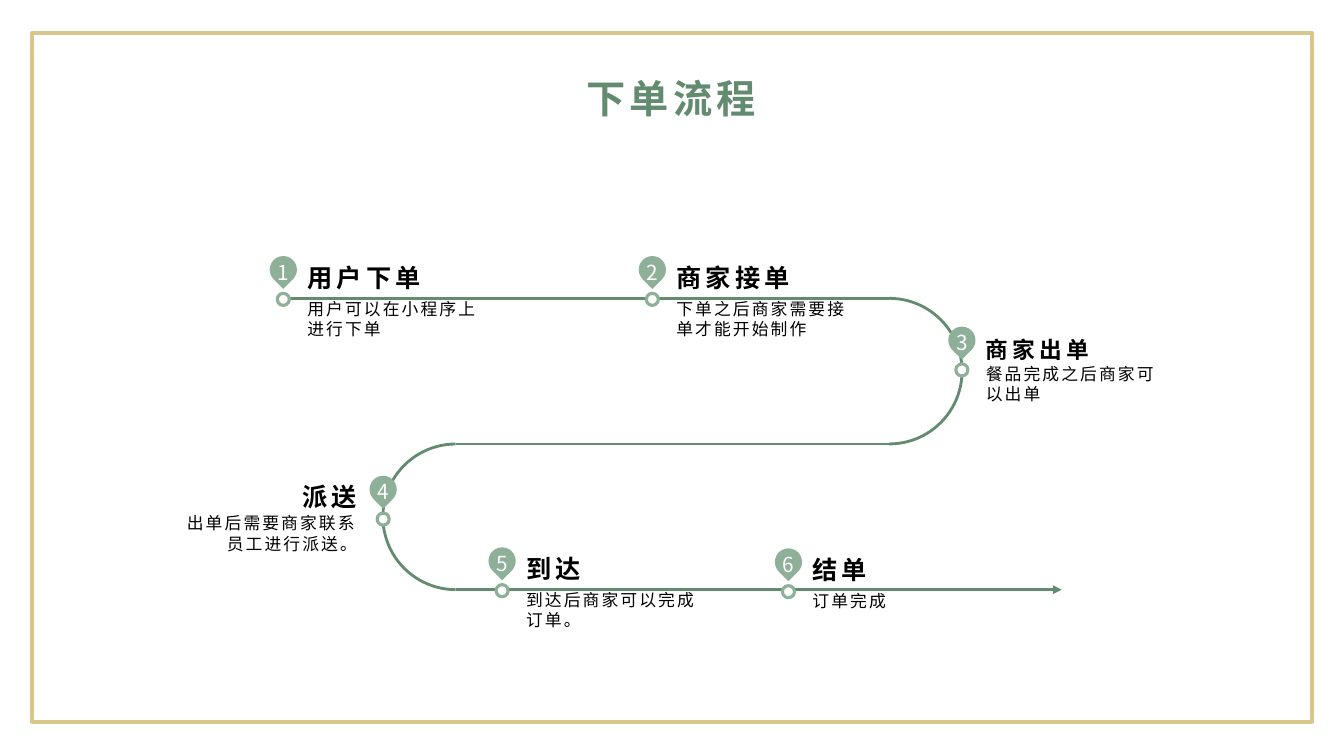
from dataclasses import dataclass

from lxml import etree
from pptx import Presentation
from pptx.dml.color import RGBColor
from pptx.enum.shapes import MSO_CONNECTOR, MSO_SHAPE
from pptx.enum.text import MSO_ANCHOR, PP_ALIGN
from pptx.oxml.ns import qn
from pptx.util import Inches, Pt

RECT, ARC, OVAL = MSO_SHAPE.RECTANGLE, MSO_SHAPE.ARC, MSO_SHAPE.OVAL
TEAR, LINE = MSO_SHAPE.TEAR, MSO_CONNECTOR.STRAIGHT
LEFT, MID, RIGHT = PP_ALIGN.LEFT, PP_ALIGN.CENTER, PP_ALIGN.RIGHT
TOP, CENTER, LOW = MSO_ANCHOR.TOP, MSO_ANCHOR.MIDDLE, MSO_ANCHOR.BOTTOM

FONT = "Noto Sans CJK SC"
GREEN, SAGE, GOLD = "638B6F", "8EAF98", "D8C78B"
WHITE, BLACK = "FFFFFF", "000000"

# Size of the road: three rows, joined by half circles
ROW, GAP = 2.96, 1.445
START, WEST, EAST, END = 2.81, 4.52, 8.82, 10.53
PIN, RING, WIDE = 0.27, 0.12, 2.03


@dataclass
class Stop:
    x: float
    y: float
    head: str
    body: str
    drop: float = 0.46
    size: float = 18
    side: PP_ALIGN = LEFT


@dataclass
class Style:
    size: float
    color: str = BLACK
    bold: bool = False
    space: float = 0
    align: PP_ALIGN = LEFT
    anchor: MSO_ANCHOR = TOP
    above: float = 0.05
    below: float = 0
    wrap: bool = True


STOPS = [
    Stop(2.81, 2.5, "用户下单", "用户可以在小程序上进行下单"),
    Stop(6.47, 2.5, "商家接单", "下单之后商家需要接单才能开始制作"),
    Stop(9.54, 3.2, "商家出单", "餐品完成之后商家可以出单", 0.41, 16.2),
    Stop(3.8, 4.68, "派送", "出单后需要商家联系员工进行派送。", 0.41, side=RIGHT),
    Stop(4.98, 5.39, "到达", "到达后商家可以完成订单。"),
    Stop(7.82, 5.4, "结单", "订单完成"),
]


def rgb(code: str) -> RGBColor:
    return RGBColor.from_string(code)


def shape(slide, kind, x: float, y: float, w: float, h: float,
          fill: str = "", line: str = "", width: float = 0):
    item = slide.shapes.add_shape(kind, Inches(x), Inches(y), Inches(w), Inches(h))
    item.shadow.inherit = False
    if fill:
        item.fill.solid()
        item.fill.fore_color.rgb = rgb(fill)
    else:
        item.fill.background()
    if line:
        item.line.color.rgb = rgb(line)
        item.line.width = Pt(width)
    else:
        item.line.fill.background()
    return item


def road(slide, x1: float, x2: float, y: float, head: str = "", tail: str = "") -> None:
    item = slide.shapes.add_connector(LINE, Inches(x1), Inches(y), Inches(x2), Inches(y))
    item.line.color.rgb = rgb(GREEN)
    item.line.width = Pt(2)
    stroke = item.line._get_or_add_ln()
    for tag, tip in (("a:headEnd", head), ("a:tailEnd", tail)):
        if tip:
            etree.SubElement(stroke, qn(tag), type=tip)
    etree.SubElement(item._element.spPr, qn("a:effectLst"))


def bend(slide, x: float, y: float, first: float, last: float) -> None:
    # Arc angles: 54 is straight down, 162 is straight up
    item = shape(slide, ARC, x - GAP / 2, y, GAP, GAP, "", GREEN, 2)
    item.adjustments[0] = first
    item.adjustments[1] = last


def label(slide, x: float, y: float, w: float, h: float, text: str, style: Style) -> None:
    box = slide.shapes.add_textbox(Inches(x), Inches(y), Inches(w), Inches(h))
    frame = box.text_frame
    frame.word_wrap = style.wrap
    frame.vertical_anchor = style.anchor
    frame.margin_top, frame.margin_bottom = Inches(style.above), Inches(style.below)
    para = frame.paragraphs[0]
    para.alignment = style.align
    run = para.add_run()
    run.text = text
    font = run.font
    font.size, font.bold, font.name = Pt(style.size), style.bold, FONT
    font.color.rgb = rgb(style.color)
    props = run._r.get_or_add_rPr()
    props.set("spc", str(round(style.space * 100)))
    etree.SubElement(props, qn("a:ea"), typeface=FONT)


def mark(slide, num: int, stop: Stop) -> None:
    x, y = stop.x, stop.y
    # Numbered pin above its ring
    pin = shape(slide, TEAR, x - PIN / 2, y + 0.04, PIN, PIN, SAGE)
    pin.rotation = 135
    label(slide, x - 0.165, y, 0.33, 0.37, str(num),
          Style(14.8, WHITE, align=MID, anchor=LOW, below=0.05, wrap=False))
    shape(slide, OVAL, x - RING / 2, y + 0.47 - RING / 2, RING, RING, WHITE, SAGE, 2.25)
    # Heading and detail beside it
    left = x + 0.14 if stop.side == LEFT else x - 0.16 - WIDE
    label(slide, left, y, WIDE, 0.4, stop.head,
          Style(stop.size, bold=True, space=3, align=stop.side, anchor=LOW))
    label(slide, left, y + stop.drop, WIDE, 0.99, stop.body,
          Style(12, space=1.5, align=stop.side, above=0, below=0.05))


def main() -> None:
    deck = Presentation()
    deck.slide_width, deck.slide_height = Inches(13.33), Inches(7.5)
    slide = deck.slides.add_slide(deck.slide_layouts[6])

    # Frame and title
    shape(slide, RECT, 0.32, 0.33, 12.69, 6.83, WHITE, GOLD, 3)
    label(slide, 0.49, 0.66, 12.33, 0.57, "下单流程",
          Style(28, GREEN, True, 3, MID, CENTER))

    # Winding road
    road(slide, START, EAST, ROW, head="oval")
    bend(slide, EAST, ROW, 162, 54)
    road(slide, EAST, WEST, ROW + GAP)
    bend(slide, WEST, ROW + GAP, 54, 162)
    road(slide, WEST, END, ROW + 2 * GAP, tail="triangle")

    # Stops
    for num, stop in enumerate(STOPS, 1):
        mark(slide, num, stop)

    deck.save("out.pptx")


if __name__ == "__main__":
    main()
